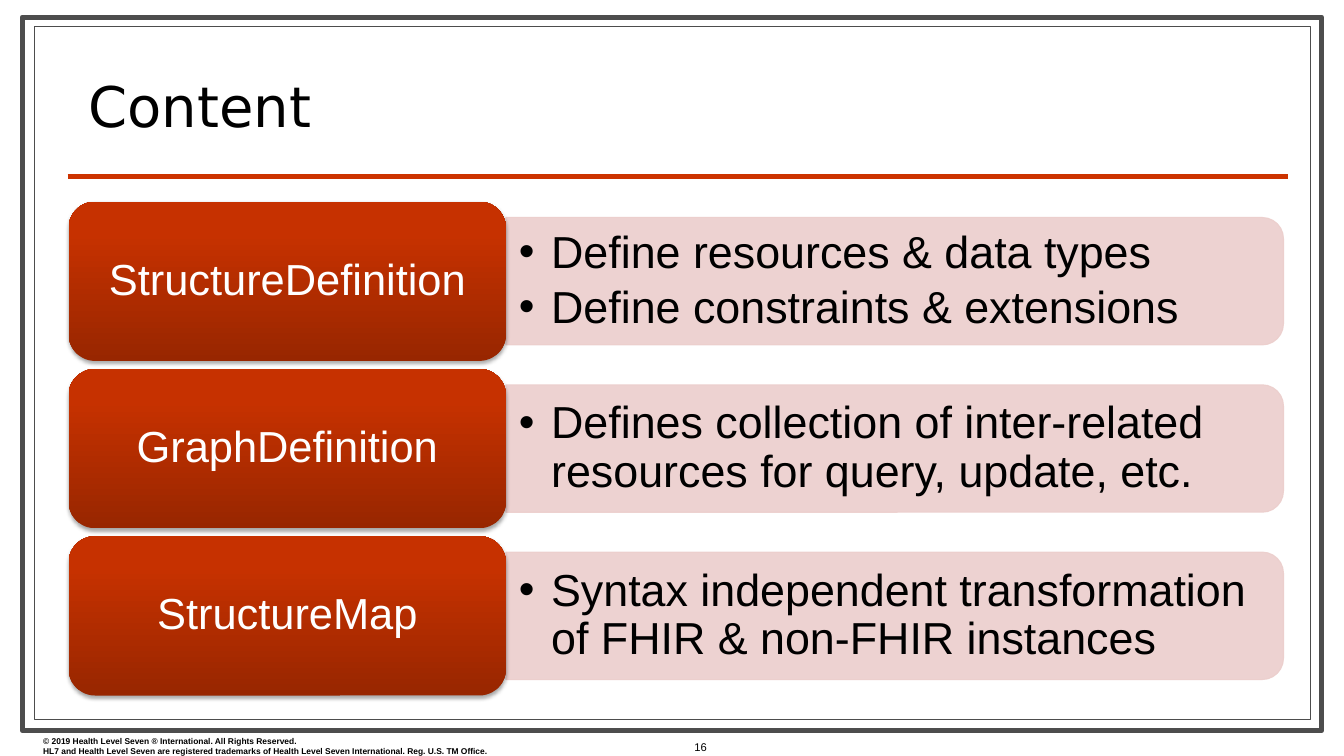
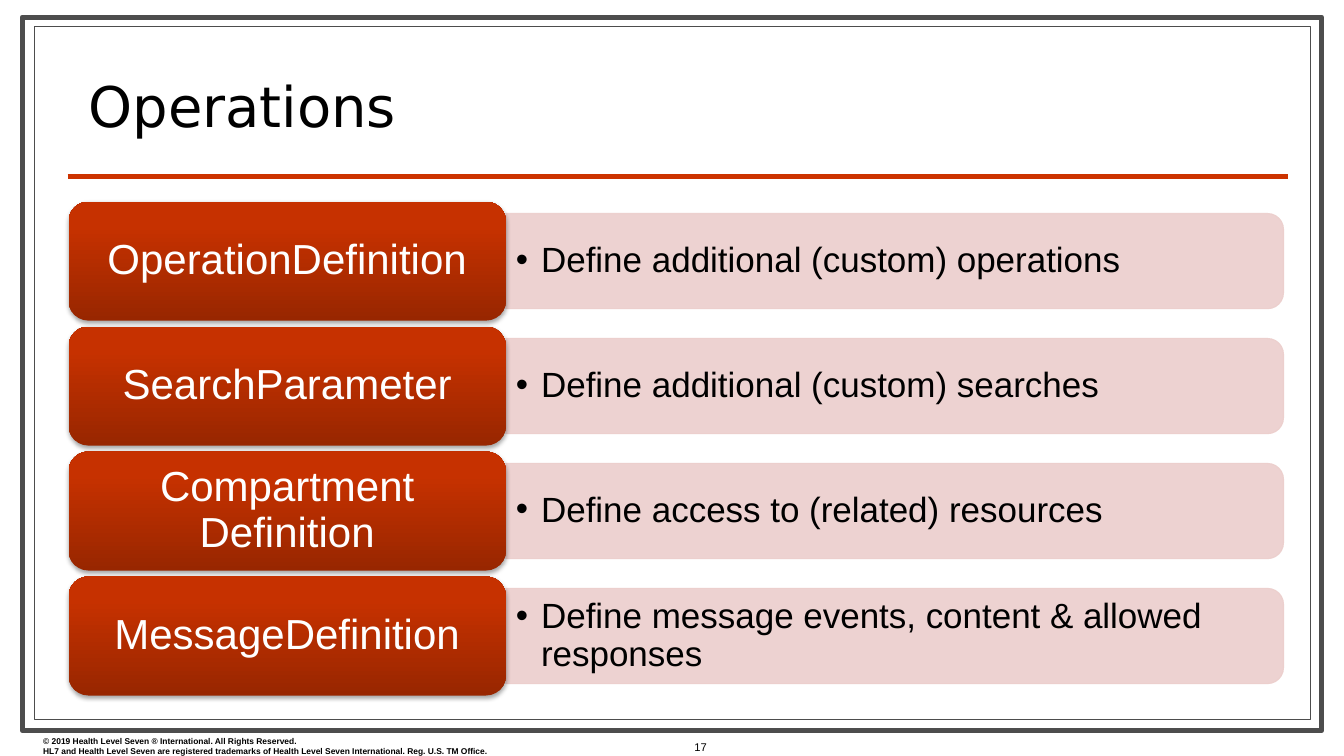
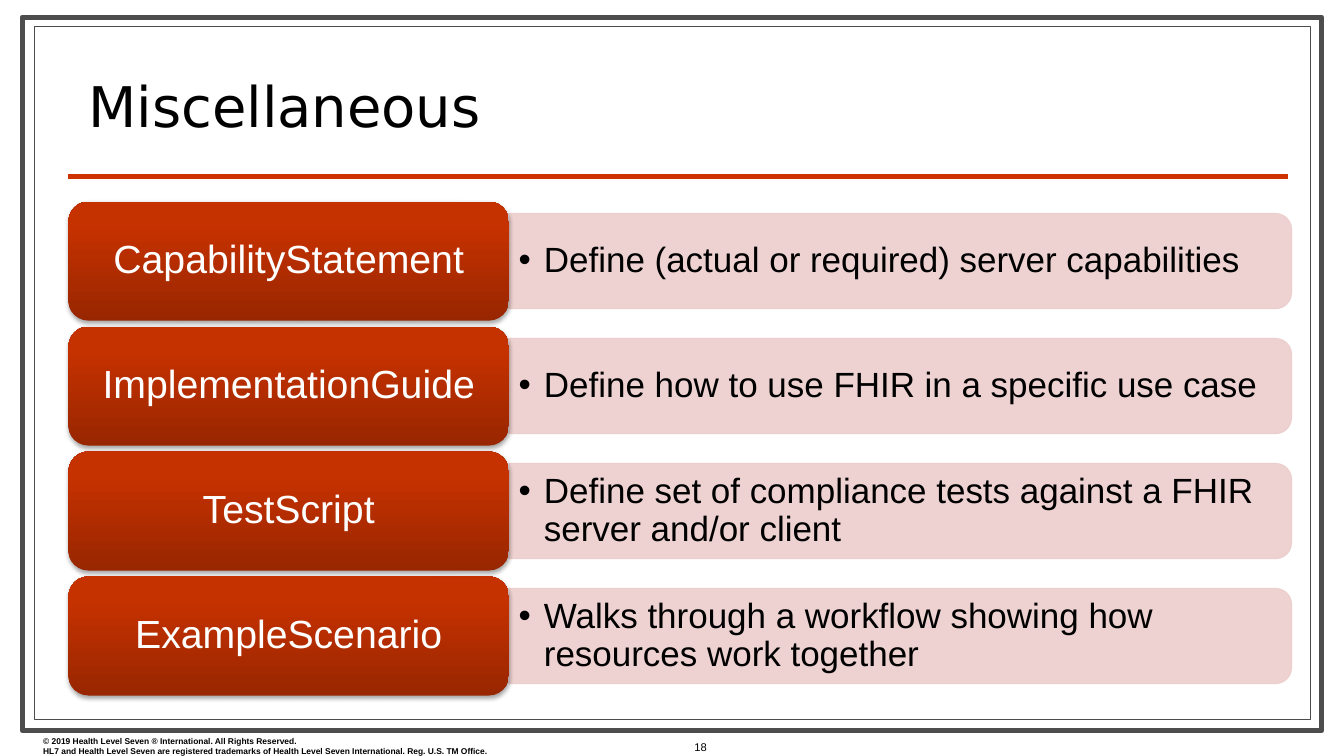
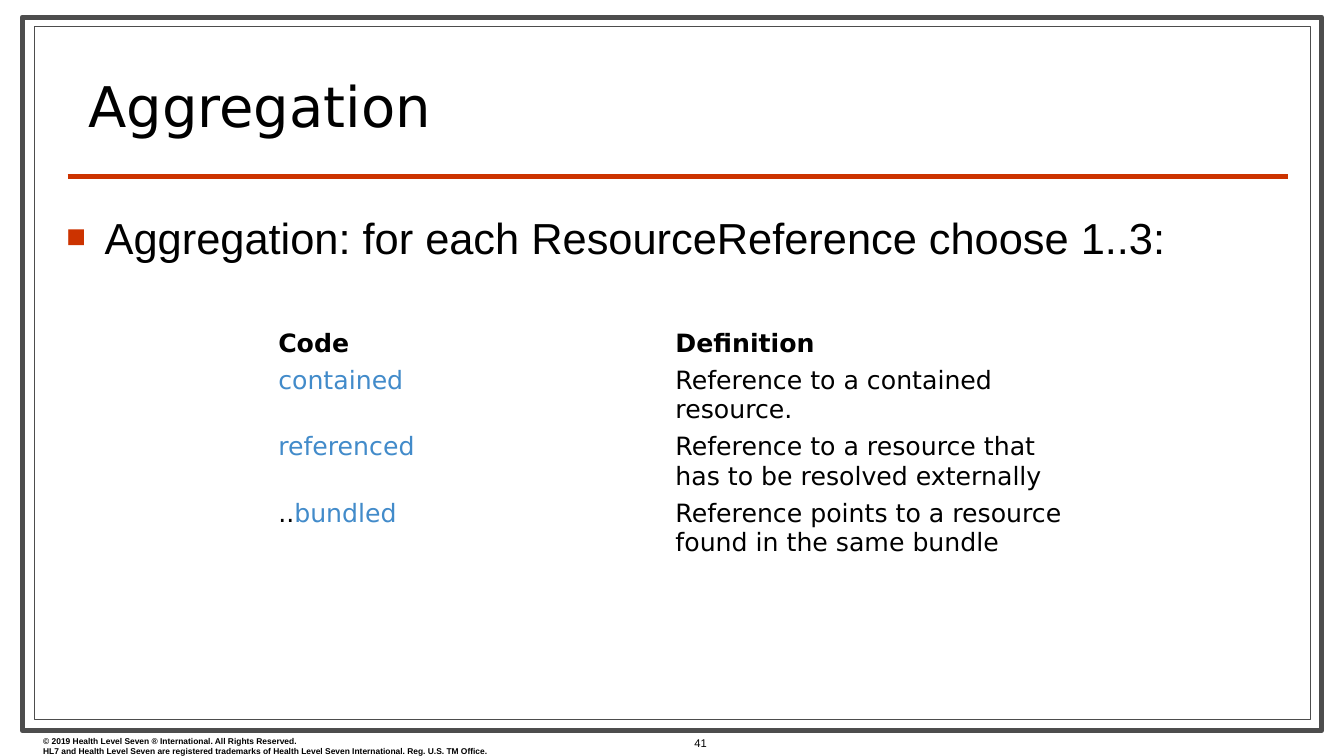
from lxml.etree import SubElement
from pptx import Presentation
from pptx.dml.color import RGBColor
from pptx.enum.shapes import MSO_CONNECTOR, MSO_SHAPE
from pptx.enum.text import MSO_ANCHOR, PP_ALIGN
from pptx.oxml.ns import qn
from pptx.util import Emu, Inches, Pt

WIDTH, HEIGHT = 13.33, 7.5
BODY, HEADING = "Arial", "DejaVu Sans"
BLACK, WHITE, GREY, RED, PINK, BLUE = "000000", "FFFFFF", "4D4D4D", "CC3300", "ECCECC", "428BCA"
LABEL_GRADIENT = [(0, "982600"), (80, "C63100"), (100, "C73200")]
FRAMES = [((0.22, 0.17, 12.89, 7.08), 3.5), ((0.34, 0.26, 12.66, 6.88), 0.75)]
COPYRIGHT = [
    "© 2019 Health Level Seven ® International. All Rights Reserved.",
    "HL7 and Health Level Seven are registered trademarks of Health Level Seven International. "
    "Reg. U.S. TM Office.",
]

LIST_LEFT, LIST_TOP, LIST_HEIGHT = 0.68, 2, 4.9
LABEL_SHARE, PANEL_SHARE, GAP_SHARE = 0.36, 0.8, 0.05

LIST_SLIDES = [
    {
        "title": "Content", "number": 16, "width": 12.05, "label_size": 31, "detail_size": 32,
        "rows": [
            ("StructureDefinition", ["Define resources & data types",
                                     "Define constraints & extensions"]),
            ("GraphDefinition", ["Defines collection of inter-related resources for query, update, etc."]),
            ("StructureMap", ["Syntax independent transformation of FHIR & non-FHIR instances"]),
        ],
    },
    {
        "title": "Operations", "number": 17, "width": 12.05, "label_size": 30, "detail_size": 25,
        "rows": [
            ("OperationDefinition", ["Define additional (custom) operations"]),
            ("SearchParameter", ["Define additional (custom) searches"]),
            ("Compartment Definition", ["Define access to (related) resources"]),
            ("MessageDefinition", ["Define message events, content & allowed responses"]),
        ],
    },
    {
        "title": "Miscellaneous", "number": 18, "width": 12.13, "label_size": 28, "detail_size": 25,
        "rows": [
            ("CapabilityStatement", ["Define (actual or required) server capabilities"]),
            ("ImplementationGuide", ["Define how to use FHIR in a specific use case"]),
            ("TestScript", ["Define set of compliance tests against a FHIR server and/or client"]),
            ("ExampleScenario", ["Walks through a workflow showing how resources work together"]),
        ],
    },
]

AGGREGATION_POINT = "Aggregation: for each ResourceReference choose 1..3:"
AGGREGATION_CODES = [
    ("", "contained", "Reference to a contained resource."),
    ("", "referenced", "Reference to a resource that has to be resolved externally"),
    ("..", "bundled", "Reference points to a resource found in the same bundle"),
]


def colour(value):
    return RGBColor.from_string(value)


def place(left, top, width, height):
    return [Inches(length) for length in (left, top, width, height)]


def style(font, size, tint=BLACK, face=BODY, bold=False):
    font.size, font.name, font.bold = Pt(size), face, bold
    font.color.rgb = colour(tint)


def set_frame(frame, anchor=MSO_ANCHOR.TOP, inset=(0.1, 0.05)):
    frame.word_wrap = True
    frame.vertical_anchor = anchor
    frame.margin_left = frame.margin_right = Inches(inset[0])
    frame.margin_top = frame.margin_bottom = Inches(inset[1])


def set_bullet(paragraph, symbol, indent, tint=None, share=None):
    properties = paragraph._p.get_or_add_pPr()
    properties.set("marL", str(Inches(indent)))
    properties.set("indent", str(-Inches(indent)))
    if tint:
        SubElement(SubElement(properties, qn("a:buClr")), qn("a:srgbClr"), val=tint)
    if share:
        SubElement(properties, qn("a:buSzPct"), val=str(share * 1000))
    SubElement(properties, qn("a:buFont"), typeface=BODY)
    SubElement(properties, qn("a:buChar"), char=symbol)


def write(frame, lines, size, tint=BLACK, face=BODY, bold=False, align=PP_ALIGN.LEFT,
          spacing=None, between=0, bullet=None):
    frame.text = "\n".join(lines)
    for index, paragraph in enumerate(frame.paragraphs):
        paragraph.alignment = align
        if spacing:
            paragraph.line_spacing = spacing
        if index and between:
            paragraph.space_before = Pt(between)
        if bullet:
            set_bullet(paragraph, **bullet)
        for run in paragraph.runs:
            style(run.font, size, tint, face, bold)


def add_text(slide, box, lines, size, anchor=MSO_ANCHOR.TOP, inset=(0.1, 0.05), **look):
    frame = slide.shapes.add_textbox(*place(*box)).text_frame
    set_frame(frame, anchor, inset)
    write(frame, lines, size, **look)


def add_base(deck, title, number, number_middle=7.41):
    slide = deck.slides.add_slide(deck.slide_layouts[6])
    for box, weight in FRAMES:
        border = slide.shapes.add_shape(MSO_SHAPE.RECTANGLE, *place(*box))
        border.shadow.inherit = False
        border.fill.solid()
        border.fill.fore_color.rgb = colour(WHITE)
        border.line.color.rgb = colour(GREY)
        border.line.width = Pt(weight)
    rule = slide.shapes.add_connector(MSO_CONNECTOR.STRAIGHT, *place(0.67, 1.75, 12.77, 1.75))
    rule.line.color.rgb = colour(RED)
    rule.line.width = Pt(3)
    SubElement(rule._element.spPr, qn("a:effectLst"))
    add_text(slide, (0.33, 7.25, 6.44, 0.3), COPYRIGHT, 6, bold=True)
    add_text(slide, (0.78, 0.52, 11.89, 0.9), [title], 40, MSO_ANCHOR.BOTTOM,
             face=HEADING, spacing=0.8)
    add_text(slide, (6.33, number_middle - 0.12, 0.78, 0.24), [str(number)], 8,
             MSO_ANCHOR.MIDDLE, align=PP_ALIGN.RIGHT)
    return slide


def add_panel(slide, left, middle, width, height):
    panel = slide.shapes.add_shape(
        MSO_SHAPE.ROUND_2_SAME_RECTANGLE,
        *place(left + (width - height) / 2, middle - width / 2, height, width))
    panel.rotation = 90
    panel.shadow.inherit = False
    panel.fill.solid()
    panel.fill.fore_color.rgb = colour(PINK)
    panel.line.color.rgb = colour(PINK)
    panel.line.width = Pt(0.75)
    for tint in panel._element.spPr.iter(qn("a:srgbClr")):
        SubElement(tint, qn("a:alpha"), val="90000")


def add_label(slide, box, text, size):
    label = slide.shapes.add_shape(MSO_SHAPE.ROUNDED_RECTANGLE, *place(*box))
    label.line.fill.background()
    label.fill.gradient()
    label.fill.gradient_angle = 90
    properties = label._element.spPr
    stops = properties.find(".//" + qn("a:gsLst"))
    for stop in list(stops):
        stops.remove(stop)
    for share, tint in LABEL_GRADIENT:
        stop = SubElement(stops, qn("a:gs"), pos=str(share * 1000))
        SubElement(stop, qn("a:srgbClr"), val=tint)
    label.shadow.inherit = False
    shade = SubElement(properties.find(qn("a:effectLst")), qn("a:outerShdw"),
                       blurRad=str(Pt(3.1)), dist=str(Pt(1.8)), dir="5400000", rotWithShape="0")
    SubElement(SubElement(shade, qn("a:srgbClr"), val=BLACK), qn("a:alpha"), val="35000")
    set_frame(label.text_frame, MSO_ANCHOR.MIDDLE, (0.12, 0.06))
    write(label.text_frame, [text], size, WHITE, align=PP_ALIGN.CENTER, spacing=0.9)


def add_list_slide(deck, content):
    slide = add_base(deck, content["title"], content["number"])
    rows, size = content["rows"], content["detail_size"]
    row_height = LIST_HEIGHT / (len(rows) + GAP_SHARE * (len(rows) - 1))
    label_width = content["width"] * LABEL_SHARE
    panel_left = LIST_LEFT + label_width
    panel_width = content["width"] - label_width
    panel_height = row_height * PANEL_SHARE
    for index, (name, details) in enumerate(rows):
        top = LIST_TOP + index * row_height * (1 + GAP_SHARE)
        middle = top + row_height / 2
        add_panel(slide, panel_left, middle, panel_width, panel_height)
        add_text(slide, (panel_left, middle - panel_height / 2, panel_width - 0.05, panel_height),
                 details, size, MSO_ANCHOR.MIDDLE, (size * 0.004, size * 0.002),
                 spacing=0.9, between=size * 0.15, bullet={"symbol": "•", "indent": size * 0.01})
        add_label(slide, (LIST_LEFT, top, label_width, row_height), name, content["label_size"])


def add_aggregation_slide(deck):
    slide = add_base(deck, "Aggregation", 41, 7.37)
    add_text(slide, (0.56, 2.04, 12.22, 4.79), [AGGREGATION_POINT], 31,
             bullet={"symbol": "■", "indent": 0.38, "tint": RED, "share": 75})
    heights = [0.35] + [0.64] * len(AGGREGATION_CODES)
    codes = slide.shapes.add_table(len(heights), 2, *place(2.73, 3.24, 7.88, sum(heights))).table
    codes.first_row = codes.horz_banding = False
    for row, height in zip(codes.rows, heights):
        row.height = Inches(height)
    texts = [("Code", "Definition")]
    texts += [(prefix + code, meaning) for prefix, code, meaning in AGGREGATION_CODES]
    for row, pair in enumerate(texts):
        for column, text in enumerate(pair):
            cell = codes.cell(row, column)
            cell.fill.solid()
            cell.fill.fore_color.rgb = colour(WHITE)
            cell.margin_left = cell.margin_right = Inches(0.03)
            cell.margin_top = cell.margin_bottom = Inches(0.03)
            write(cell.text_frame, [text], 18, face=HEADING, bold=row == 0)
    for row, (prefix, code, _) in enumerate(AGGREGATION_CODES, 1):
        paragraph = codes.cell(row, 0).text_frame.paragraphs[0]
        paragraph.text = prefix
        if prefix:
            style(paragraph.runs[0].font, 18, face=HEADING)
        link = paragraph.add_run()
        link.text = code
        style(link.font, 18, BLUE, HEADING)


def main():
    deck = Presentation()
    deck.slide_width, deck.slide_height = Inches(WIDTH), Inches(HEIGHT)
    for content in LIST_SLIDES:
        add_list_slide(deck, content)
    add_aggregation_slide(deck)
    deck.save("out.pptx")


if __name__ == "__main__":
    main()
